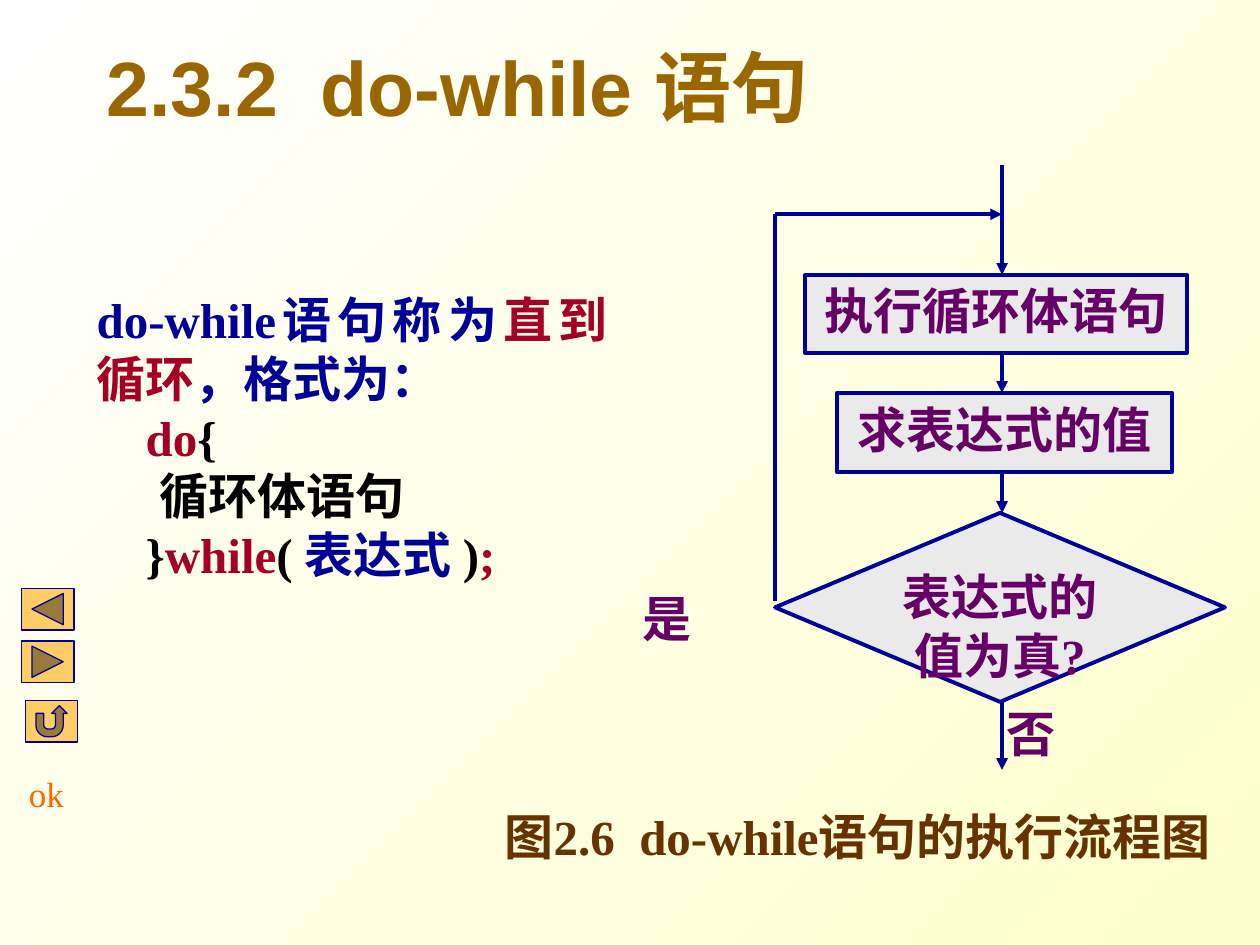
from dataclasses import dataclass

from lxml.etree import SubElement
from pptx import Presentation
from pptx.dml.color import RGBColor as Rgb
from pptx.enum.shapes import MSO_CONNECTOR as Link, MSO_SHAPE as Form
from pptx.enum.text import MSO_ANCHOR as Anchor, MSO_AUTO_SIZE as Fit, PP_ALIGN as Align
from pptx.oxml.ns import qn
from pptx.util import Cm, Pt


@dataclass(frozen=True)
class Theme:
    """Colours, type sizes and fonts of the slide."""
    blue: str = "000099"
    red: str = "A50021"
    black: str = "000000"
    plum: str = "660066"
    gold: str = "996600"
    brown: str = "663300"
    orange: str = "FF6600"
    amber: str = "FFCC66"
    grey: str = "EAEAEA"
    white: str = "FFFFFF"
    cream: str = "FFFFCC"
    head: int = 44
    text: int = 28
    small: int = 20
    sans: str = "Arial"
    serif: str = "Times New Roman"


T = Theme()


def color(code):
    """Turn a hex code into a colour."""
    return Rgb.from_string(code)


def write(shape, paras, ink=T.plum, size=T.text, face=T.serif, bold=True,
          align=Align.LEFT, anchor=Anchor.TOP, gap=0):
    """Fill a shape with paragraphs of (text, colour) runs; gap widens lone spaces."""
    frame = shape.text_frame
    frame.word_wrap, frame.auto_size = True, Fit.NONE
    frame.vertical_anchor = anchor
    for i, runs in enumerate(paras):
        para = frame.add_paragraph() if i else frame.paragraphs[0]
        para.alignment = align
        for part in [(runs, ink)] if isinstance(runs, str) else runs:
            words, hue = (part, ink) if isinstance(part, str) else part
            run = para.add_run()
            run.text = words
            font = run.font
            font.name, font.size, font.bold = face, Pt(size), bold
            font.color.rgb = color(hue)
            if words == " " and gap:
                run._r.get_or_add_rPr().set("spc", str(gap * 100))


def place(box, x, y, w, h):
    """Give the lengths of a part that sits at x, y within a box."""
    return Cm(box[0] + x), Cm(box[1] + y), Cm(w), Cm(h)


def label(slide, spot, paras, **look):
    """Add a text box."""
    write(slide.shapes.add_textbox(*spot), paras, **look)


def block(slide, form, spot, fill, width):
    """Add a filled and outlined shape."""
    shape = slide.shapes.add_shape(form, *spot)
    shape.shadow.inherit = False
    shape.fill.solid()
    shape.fill.fore_color.rgb = color(fill)
    shape.line.color.rgb = color(T.blue)
    shape.line.width = Pt(width)
    return shape


def wire(slide, box, start, end, arrow=True):
    """Add a line between two points of a box."""
    ends = [Cm(a + b) for point in (start, end) for a, b in zip(box, point)]
    line = slide.shapes.add_connector(Link.STRAIGHT, *ends)
    line.line.color.rgb = color(T.blue)
    line.line.width = Pt(2.25)
    props = line._element.spPr
    if arrow:
        SubElement(props.find(qn("a:ln")), qn("a:tailEnd"), type="triangle")
    SubElement(props, qn("a:effectLst"))


def paint(slide):
    """Set the diagonal background."""
    fill = slide.background.fill
    fill.gradient()
    fill.gradient_angle = 315
    for stop, code in zip(fill.gradient_stops, (T.white, T.cream)):
        stop.color.rgb = color(code)


def title(slide, box):
    """Place the title."""
    head = slide.shapes.title
    head.left, head.top, head.width, head.height = map(Cm, box)
    write(head, [["2.3.2", " ", "do-while 语句"]], ink=T.gold, size=T.head,
          face=T.sans, anchor=Anchor.MIDDLE, gap=12)


def syntax(slide, box):
    """Place the sentence and the code form of the loop."""
    spot = place(box, 0, 0, *box[2:])
    intro = ["do-while语句称为", ("直到循环", T.red), "，格式为："]
    code = [
        [("    ", T.black), ("do", T.red), ("{", T.black)],
        [("\t循环体语句", T.black)],
        [("    }", T.black), ("while", T.red), ("( ", T.black),
         "表达式 ", (")", T.black), (";", T.red)],
    ]
    label(slide, spot, [intro, *code], ink=T.blue, align=Align.JUSTIFY)


def flow(slide, box):
    """Draw the flow chart of the loop."""
    label(slide, place(box, 7.34, 10.72, 1.4, 1.47), ["否"])
    label(slide, place(box, 0, 8.4, 1.47, 1.8), ["是"])
    mid, side, back = 7.5, 2.92, 0.99
    for top, end in ((0, 2.21), (3.78, 4.59), (6.19, 7.01), (10.79, 12.19)):
        wire(slide, box, (mid, top), (mid, end))
    wire(slide, box, (side, 8.79), (side, back), arrow=False)
    wire(slide, box, (side, back), (mid, back))
    steps = (
        (Form.RECTANGLE, 2.21, 7.7, 1.57, 7.38, ["执行循环体语句"]),
        (Form.RECTANGLE, 4.59, 6.76, 1.6, 7.55, ["求表达式的值"]),
        (Form.FLOWCHART_DECISION, 7.01, 9.07, 3.81, 7.46, ["表达式的", "值为真?"]),
    )
    for form, y, w, h, axis, words in steps:
        step = block(slide, form, place(box, axis - w / 2, y, w, h), T.grey, 2.25)
        write(step, words, align=Align.CENTER)


def figure(slide, box):
    """Place the caption of the flow chart."""
    label(slide, place(box, 0, 0, *box[2:]),
          [["图2.6", " ", "do-while语句的执行流程图"]],
          ink=T.brown, align=Align.CENTER, gap=7)


def panel(slide, box):
    """Draw the three buttons and the word below them."""
    keys = (
        (Form.ACTION_BUTTON_BACK_OR_PREVIOUS, 0.23, 0),
        (Form.ACTION_BUTTON_FORWARD_OR_NEXT, 0.23, 1.06),
        (Form.ACTION_BUTTON_RETURN, 0.31, 2.26),
    )
    for form, x, y in keys:
        block(slide, form, place(box, x, y, 1.06, 0.84), T.amber, 0.75)
    label(slide, place(box, 0, 3.58, 1.47, 1.12), ["ok"], ink=T.orange,
          size=T.small, bold=False, align=Align.CENTER)


def main():
    """Build the slide and save it."""
    deck = Presentation()
    deck.slide_width, deck.slide_height = Cm(25.4), Cm(19.05)
    slide = deck.slides.add_slide(deck.slide_layouts[5])
    paint(slide)
    panel(slide, (0.2, 11.86, 1.47, 4.7))
    title(slide, (1.9, 0.53, 15.6, 2.39))
    syntax(slide, (1.7, 5.71, 10.8, 6.2))
    flow(slide, (12.7, 3.33, 11.99, 12.19))
    figure(slide, (9.45, 16.13, 15.67, 1.68))
    deck.save("out.pptx")


if __name__ == "__main__":
    main()
